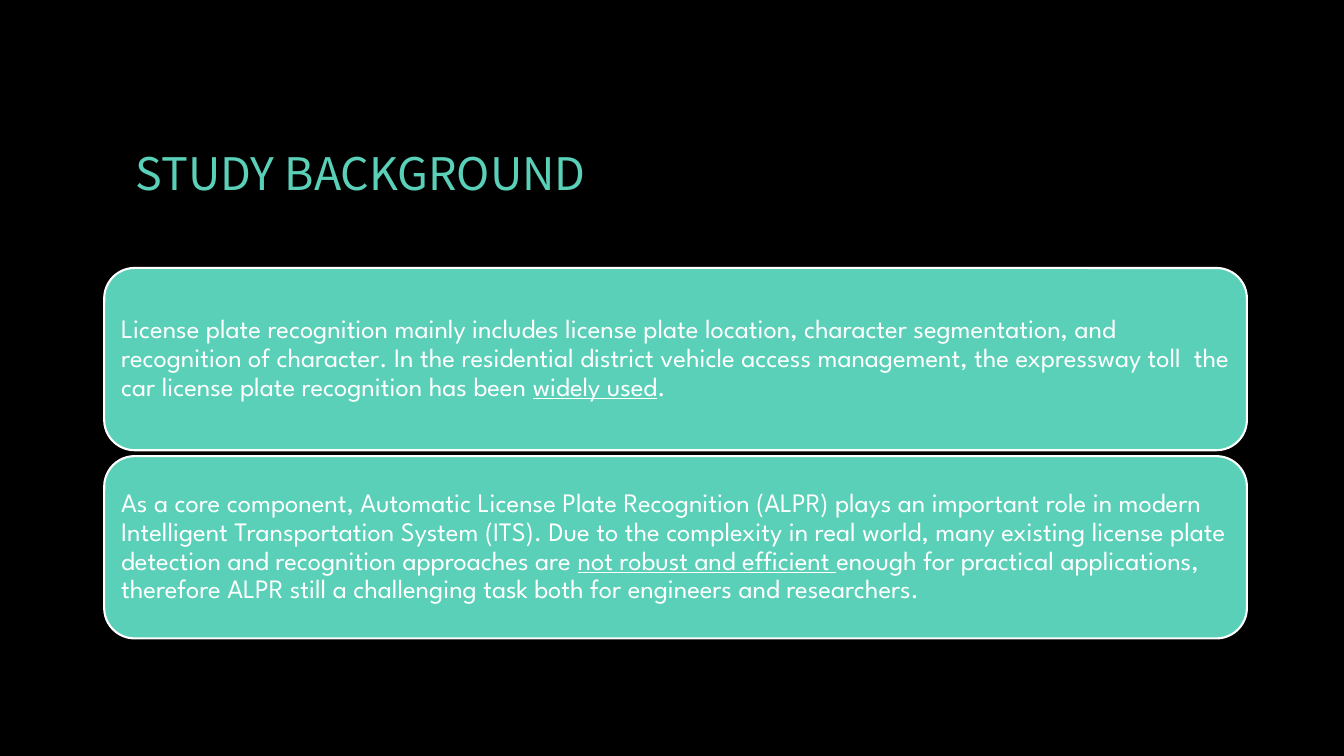
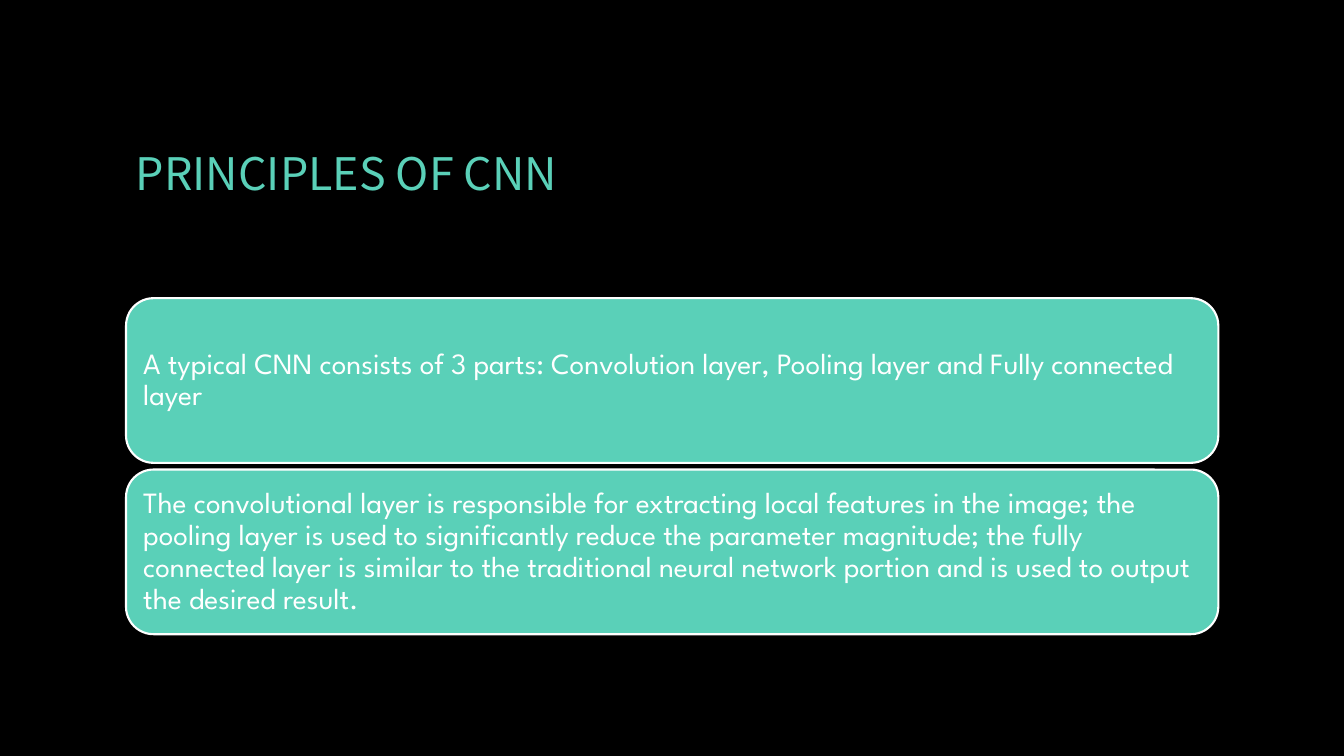
from pptx import Presentation
from pptx.dml.color import RGBColor
from pptx.enum.shapes import MSO_SHAPE as Shape
from pptx.enum.text import MSO_ANCHOR as Anchor, PP_ALIGN as Align
from pptx.util import Inches, Pt

COLORS = {"background": "000000", "accent": "5AD0B8", "light": "FFFFFF"}
TITLE_FONT = "Noto Sans CJK SC"
BODY_FONT = "League Spartan"

deck = Presentation()
deck.slide_width = Inches(13.33)
deck.slide_height = Inches(7.5)
CELL = deck.slide_height / 9


def grid(*cells):
    return [round(count * CELL) for count in cells]


def add_run(paragraph, text, font, size, color, underline=False):
    run = paragraph.add_run()
    run.text = text
    run.font.name = font
    run.font.size = Pt(size)
    run.font.color.rgb = RGBColor.from_string(COLORS[color])
    if underline:
        run.font.underline = True


backdrop = deck.slide_master.background.fill
backdrop.solid()
backdrop.fore_color.rgb = RGBColor.from_string(COLORS["background"])

topics = [
    {
        "title": "STUDY BACKGROUND",
        "left": 1.24, "top": 3.19, "width": 13.6, "height": 2.17, "pitch": 2.24,
        "size": 19, "inset": 0.08,
        "statements": [
            [
                ("License plate recognition mainly includes license plate location, "
                 "character segmentation, and recognition of character. In the "
                 "residential district vehicle access management, the expressway "
                 "toll  the car license plate recognition has been ", False),
                ("widely used", True),
                (".", False),
            ],
            [
                ("As a core component, Automatic License Plate Recognition (ALPR) "
                 "plays an important role in modern Intelligent Transportation "
                 "System (ITS). Due to the complexity in real world, many existing "
                 "license plate detection and recognition approaches are ", False),
                ("not robust and efficient ", True),
                ("enough for practical applications, therefore ALPR still a "
                 "challenging task both for engineers and researchers.", False),
            ],
        ],
    },
    {
        "title": "PRINCIPLES OF CNN",
        "left": 1.5, "top": 3.55, "width": 13, "height": 1.96, "pitch": 2.04,
        "size": 21, "inset": 0.09,
        "statements": [
            [
                ("A typical CNN consists of 3 parts: Convolution layer, Pooling "
                 "layer and Fully connected layer", False),
            ],
            [
                ("The convolutional layer is responsible for extracting local "
                 "features in the image; the pooling layer is used to significantly "
                 "reduce the parameter magnitude; the fully connected layer is "
                 "similar to the traditional neural network portion and is used to "
                 "output the desired result.", False),
            ],
        ],
    },
]

for topic in topics:
    slide = deck.slides.add_slide(deck.slide_layouts[6])

    heading = slide.shapes.add_textbox(*grid(1.5, 0.8, 13, 2.5)).text_frame
    heading.word_wrap = True
    heading.vertical_anchor = Anchor.MIDDLE
    add_run(heading.paragraphs[0], topic["title"], TITLE_FONT, 32, "accent")

    for row, statement in enumerate(topic["statements"]):
        top = topic["top"] + row * topic["pitch"]
        panel = slide.shapes.add_shape(
            Shape.ROUNDED_RECTANGLE,
            *grid(topic["left"], top, topic["width"], topic["height"]))
        panel.shadow.inherit = False
        panel.fill.solid()
        panel.fill.fore_color.rgb = RGBColor.from_string(COLORS["accent"])
        panel.line.color.rgb = RGBColor.from_string(COLORS["light"])
        panel.line.width = Pt(1.5)

        body = panel.text_frame
        body.word_wrap = True
        body.vertical_anchor = Anchor.MIDDLE
        inset = Inches(topic["inset"])
        body.margin_left = body.margin_right = inset
        body.margin_top = body.margin_bottom = inset
        paragraph = body.paragraphs[0]
        paragraph.alignment = Align.LEFT
        paragraph.line_spacing = 0.9
        for text, underline in statement:
            add_run(paragraph, text, BODY_FONT, topic["size"], "light", underline)

deck.save("out.pptx")
